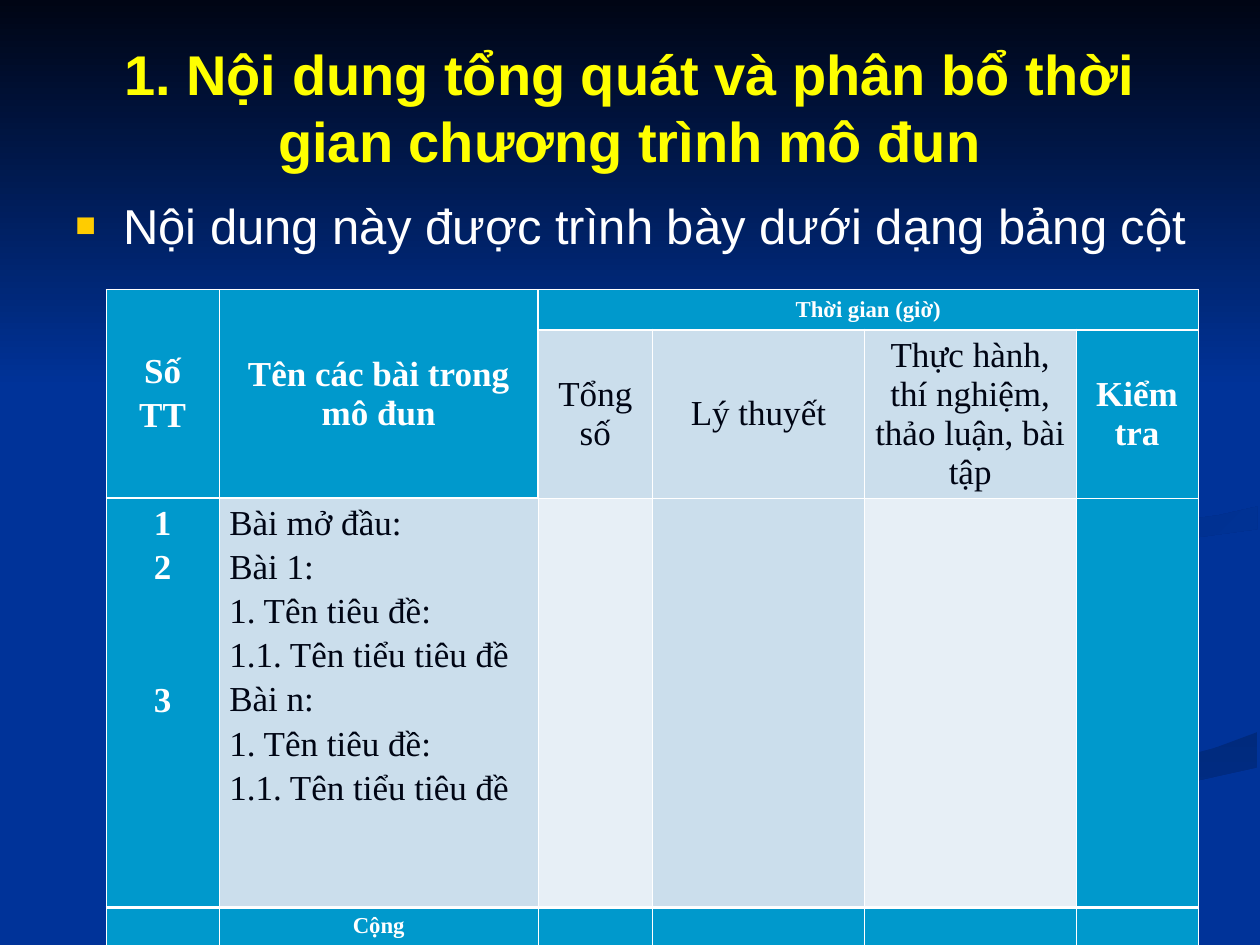
import pptx
import pptx.util
import pptx.dml.color
import pptx.enum.shapes
import pptx.enum.text
import pptx.oxml.ns
from lxml import etree

Inches, Pt = pptx.util.Inches, pptx.util.Pt
ALIGN, ANCHOR = pptx.enum.text.PP_ALIGN, pptx.enum.text.MSO_ANCHOR
qn = pptx.oxml.ns.qn

COLORS = {
    "blue": "003399", "night": "000514", "wave_low": "002A7D", "wave_high": "002D86",
    "yellow": "FFFF00", "bullet": "FFCC00", "white": "FFFFFF",
    "head": "0099CC", "band": "CBDEEC", "pale": "E7EFF6",
}
THIN, THICK = 0.45, 1.47

LOWER_WAVE = [(5.03, 7.49), (5.71, 7.49), (6, 7.33), (6.49, 7.1), (7.22, 6.82),
              (8.21, 6.51), (9.03, 6.3), (9.98, 6.09), (9.98, 5.81), (9.63, 5.94),
              (9.03, 6.1), (8.31, 6.29), (7.64, 6.47), (6.62, 6.81), (5.99, 7.06),
              (5.43, 7.33), (5.19, 7.47)]
UPPER_WAVE = [(7.81, 4.6), (7.82, 4.69), (7.97, 4.83), (8.26, 4.96), (8.09, 4.83),
              (8.05, 4.72), (8.16, 4.59), (8.43, 4.48), (8.96, 4.35), (9.54, 4.26),
              (9.98, 4.2), (9.98, 4.02), (9.67, 4.09), (8.98, 4.18), (8.35, 4.3),
              (7.99, 4.42), (7.85, 4.53)]


def rgb(name):
    return pptx.dml.color.RGBColor.from_string(COLORS[name])


def add_run(p, text, size, color, font="Arial", bold=False):
    r = p.add_run()
    r.text = text
    r.font.size, r.font.name, r.font.bold = Pt(size), font, bold
    r.font.color.rgb = rgb(color)


def style_gradient(sp, start, end, angle):
    sp.shadow.inherit = False
    sp.line.fill.background()
    sp.fill.gradient()
    sp.fill.gradient_angle = angle
    for stop, color, position in zip(sp.fill.gradient_stops, (start, end), (0, 1)):
        stop.color.rgb = rgb(color)
        stop.position = position


def add_wave(s, points, start, angle):
    emu = [(Inches(x), Inches(y)) for x, y in points]
    builder = s.shapes.build_freeform(*emu[0])
    builder.add_line_segments(emu[1:], close=True)
    style_gradient(builder.convert_to_shape(), start, "blue", angle)


def add_backdrop(s, x, y, w, h):
    s.background.fill.solid()
    s.background.fill.fore_color.rgb = rgb("blue")
    add_wave(s, LOWER_WAVE, "wave_low", 270)
    add_wave(s, UPPER_WAVE, "wave_high", 315)
    sky = s.shapes.add_shape(pptx.enum.shapes.MSO_SHAPE.RECTANGLE,
                             Inches(x), Inches(y), Inches(w), Inches(h))
    style_gradient(sky, "night", "blue", 270)


def add_title(s, x, y, w, h):
    sp = s.shapes.title
    sp.element.getparent().append(sp.element)  # in front of the backdrop
    sp.left, sp.top, sp.width, sp.height = Inches(x), Inches(y), Inches(w), Inches(h)
    tf = sp.text_frame
    tf.word_wrap, tf.vertical_anchor = True, ANCHOR.MIDDLE
    p = tf.paragraphs[0]
    p.alignment = ALIGN.CENTER
    add_run(p, "1. Nội dung tổng quát và phân bổ thời gian chương trình mô đun",
            32, "yellow", bold=True)


def add_body(s, x, y, w, h):
    tf = s.shapes.add_textbox(Inches(x), Inches(y), Inches(w), Inches(h)).text_frame
    tf.word_wrap = True
    p = tf.paragraphs[0]
    p.space_before = Pt(7)
    add_run(p, "Nội dung này được trình bày dưới dạng bảng cột", 28, "white")
    # Square bullet with a hanging indent
    pPr = p._p.get_or_add_pPr()
    pPr.set("marL", str(Inches(0.38)))
    pPr.set("indent", str(-Inches(0.38)))
    color = etree.SubElement(pPr, qn("a:buClr"))
    etree.SubElement(color, qn("a:srgbClr"), val=COLORS["bullet"])
    etree.SubElement(pPr, qn("a:buSzPct"), val="70000")
    etree.SubElement(pPr, qn("a:buFont"), typeface="Arial")
    etree.SubElement(pPr, qn("a:buChar"), char="■")


def row_rule(row, col):
    """Width of the rule above a row."""
    heavy = row == 3 or (row == 1 and col > 1) or (row == 2 and col < 2)
    return THICK if heavy else THIN


def column_rule(row, col):
    """Width of the rule left of a column."""
    return THICK if col == 2 and row < 2 else THIN


def set_borders(cell, row, col):
    tcPr = cell._tc.get_or_add_tcPr()
    widths = (("a:lnL", column_rule(row, col)), ("a:lnR", column_rule(row, col + 1)),
              ("a:lnT", row_rule(row, col)), ("a:lnB", row_rule(row + 1, col)))
    for i, (tag, width) in enumerate(widths):
        ln = etree.Element(qn(tag), w=str(Pt(width)))
        fill = etree.SubElement(ln, qn("a:solidFill"))
        etree.SubElement(fill, qn("a:srgbClr"), val=COLORS["white"])
        tcPr.insert(i, ln)


def fill_cell(cell, lines, size, color, bold, align, anchor, margin):
    cell.vertical_anchor = anchor
    cell.margin_left = cell.margin_right = Inches(0.08)
    cell.margin_top = cell.margin_bottom = Inches(margin)
    tf = cell.text_frame
    for i, (text, before) in enumerate(lines):
        p = tf.paragraphs[0] if i == 0 else tf.add_paragraph()
        p.alignment, p.space_before = align, Pt(before)
        add_run(p, text, size, color, "Times New Roman", bold)
    if not lines:  # keeps an empty cell from stretching its row
        etree.SubElement(tf.paragraphs[0]._p, qn("a:endParaRPr"), sz="800")


def add_time_table(s, x, y, col_widths, row_heights):
    shape = s.shapes.add_table(len(row_heights), len(col_widths), Inches(x), Inches(y),
                               Inches(sum(col_widths)), Inches(sum(row_heights)))
    table = shape.table
    for column, width in zip(table.columns, col_widths):
        column.width = Inches(width)
    for row, height in zip(table.rows, row_heights):
        row.height = Inches(height)

    texts = {
        (0, 0): ["Số", "TT"],
        (0, 1): ["Tên các bài trong mô đun"],
        (0, 2): ["Thời gian (giờ)"],
        (1, 2): ["Tổng số"],
        (1, 3): ["Lý thuyết"],
        (1, 4): ["Thực hành, thí nghiệm, thảo luận, bài tập"],
        (1, 5): ["Kiểm tra"],
        (2, 0): ["1", "2", "3"],
        (2, 1): ["Bài mở đầu:", "Bài 1:", "1. Tên tiêu đề:", "1.1. Tên tiểu tiêu đề",
                 "Bài n:", "1. Tên tiêu đề:", "1.1. Tên tiểu tiêu đề"],
        (3, 1): ["Cộng"],
    }
    for row in range(len(row_heights)):
        for col in range(len(col_widths)):
            # First and last rows and columns are headers, the rest is banded
            header = row in (0, 3) or col in (0, 5) or (row == 1 and col == 1)
            pale = row == 2 and col in (2, 4)
            cell = table.cell(row, col)
            cell.fill.solid()
            cell.fill.fore_color.rgb = rgb("head" if header else "pale" if pale else "band")
            set_borders(cell, row, col)
            # "3" stands beside "Bài n:", two lines further down
            lines = [(t, 53.5 if t == "3" else 3) for t in texts.get((row, col), [])]
            small = row == 3 or (row == 0 and col > 1)
            fill_cell(cell, lines, 13 if small else 20, "white" if header else "night", header,
                      ALIGN.LEFT if (row, col) == (2, 1) else ALIGN.CENTER,
                      ANCHOR.MIDDLE if row < 2 else ANCHOR.TOP,
                      0.05 if lines and row != 1 else 0)
    for first, last in (((0, 0), (1, 0)), ((0, 1), (1, 1)), ((0, 2), (0, 5))):
        table.cell(*first).merge(table.cell(*last))


def main():
    prs = pptx.Presentation()
    prs.slide_width, prs.slide_height = Inches(10), Inches(7.5)
    s = prs.slides.add_slide(prs.slide_layouts[5])
    add_backdrop(s, 0, 0, 10, 3.08)
    add_title(s, 0.5, 0.22, 9, 1.25)
    add_body(s, 0.5, 1.5, 9.25, 4.95)
    # Rows grow to fit their text
    add_time_table(s, 0.84, 2.3, [0.9, 2.53, 0.91, 1.68, 1.68, 0.97],
                   [0.22, 1.28, 3.25, 0.22])
    prs.save("out.pptx")


if __name__ == "__main__":
    main()
